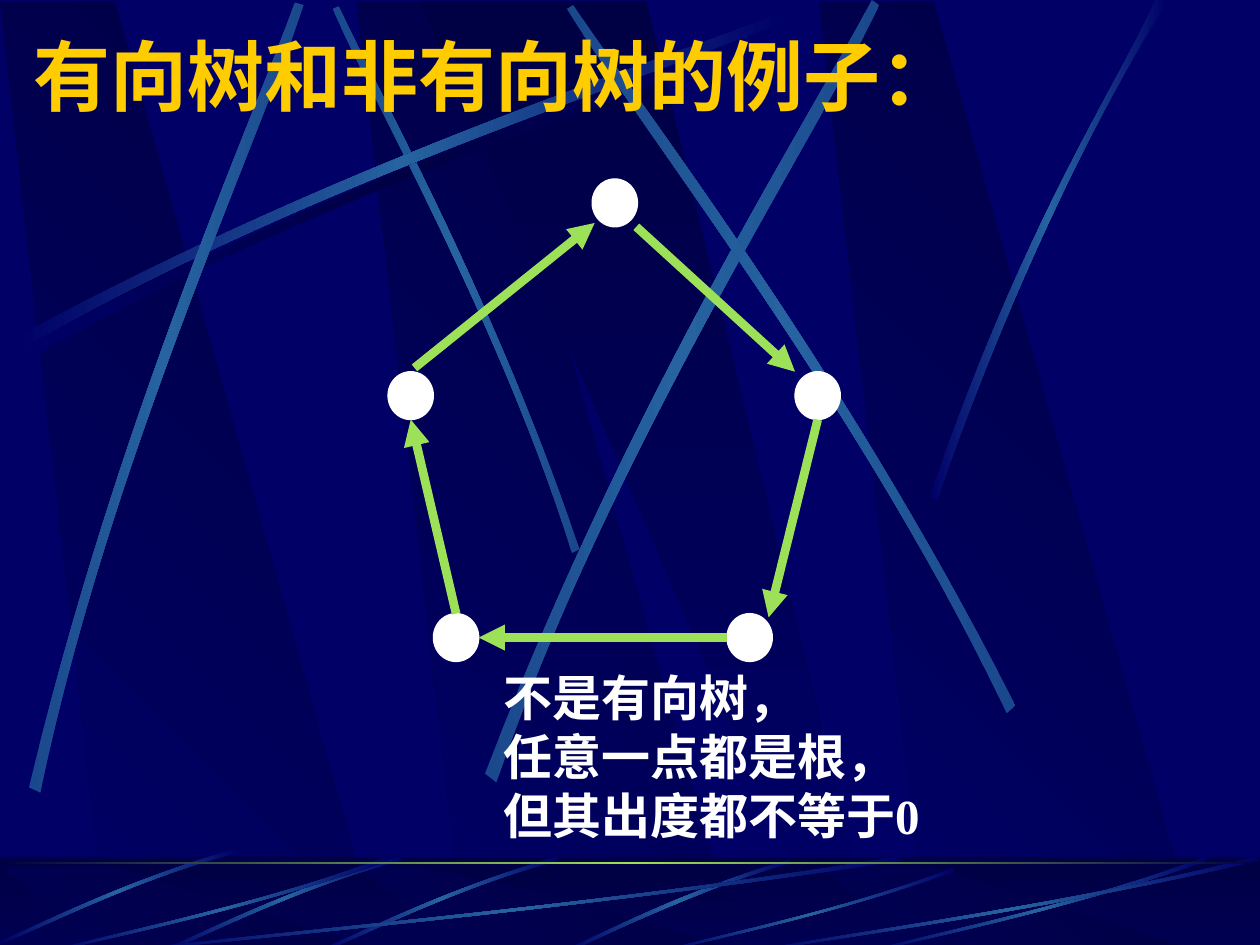
"""Builds a slide showing a directed cycle that is not a directed tree."""
from copy import deepcopy

from pptx import Presentation
from pptx.dml.color import RGBColor
from pptx.enum.shapes import MSO_CONNECTOR, MSO_SHAPE
from pptx.enum.text import MSO_ANCHOR, MSO_AUTO_SIZE
from pptx.oxml.ns import qn
from pptx.util import Inches, Pt
from lxml import etree

OVAL, RECTANGLE = MSO_SHAPE.OVAL, MSO_SHAPE.RECTANGLE
STRAIGHT = MSO_CONNECTOR.STRAIGHT
TOP, MIDDLE = MSO_ANCHOR.TOP, MSO_ANCHOR.MIDDLE
GROW = MSO_AUTO_SIZE.SHAPE_TO_FIT_TEXT
NAVY = RGBColor(0x00, 0x00, 0x66)
DARK = RGBColor(0x00, 0x00, 0x44)
STEEL = RGBColor(0x26, 0x63, 0xA0)
DIM_STEEL = RGBColor(0x1A, 0x48, 0x8C)
GREEN = RGBColor(0x9C, 0xE1, 0x57)
GOLD = RGBColor(0xFF, 0xCC, 0x00)
WHITE = RGBColor(0xFF, 0xFF, 0xFF)

deck = Presentation()
deck.slide_width, deck.slide_height = Inches(10), Inches(7.5)
COLUMN, ROW = deck.slide_width / 10, deck.slide_height / 7.5
page = deck.slides.add_slide(deck.slide_layouts[6])
page.background.fill.solid()
page.background.fill.fore_color.rgb = NAVY


def paint(shape, colors, angle=180):
    shape.shadow.inherit = False
    shape.line.fill.background()
    shape.fill.gradient()
    shape.fill.gradient_angle = angle
    stop_list = shape._element.spPr.find(qn("a:gradFill")).find(qn("a:gsLst"))
    for _ in colors[2:]:
        stop_list.append(deepcopy(stop_list[0]))
    for index, (stop, color) in enumerate(zip(shape.fill.gradient_stops, colors)):
        stop.color.rgb = color
        stop.position = index / (len(colors) - 1)


def outline(points):
    grid = [(round(x * 1000), round(y * 1000)) for x, y in points]
    builder = page.shapes.build_freeform(*grid[0], scale=(COLUMN / 1000, ROW / 1000))
    builder.add_line_segments(grid[1:], close=True)
    return builder.convert_to_shape()


# Each band: top left, top right, bottom right and bottom left columns, then gradient angle.
BANDS = [
    (2.83, 3.74, 5.85, 3.69, 225),
    (0, 0.91, 3.02, 0.86, 225),
    (6.5, 7.41, 9.52, 7.36, 225),
    (3.33, 5.13, 6.94, 6.58, 270),
]
FADED = [NAVY, STEEL, NAVY]
BRIGHT = [DIM_STEEL, STEEL, DIM_STEEL]
SHADE = [NAVY, DARK, NAVY]
UPPER_STREAKS = [
    (SHADE, (0.2, 2.75), (2.84, 1.34), (5.24, 0.59), (6.26, 0.18),
     (6.29, 0.24), (5.28, 0.69), (2.54, 1.51), (0.23, 2.85)),
    (BRIGHT, (4.6, 4.36), (3.91, 2.34), (3.02, 0.77), (2.69, 0.05),
     (2.64, 0.07), (2.95, 0.79), (3.98, 2.58), (4.54, 4.39)),
    (FADED, (0.14, 2.67), (2.78, 1.25), (5.18, 0.51), (6.2, 0.1),
     (6.23, 0.16), (5.22, 0.61), (2.48, 1.43), (0.17, 2.77)),
    (BRIGHT, (0.23, 6.25), (0.93, 3.34), (1.97, 1.05), (2.34, 0.02),
     (2.41, 0.04), (2.07, 1.09), (0.86, 3.68), (0.32, 6.29)),
    (BRIGHT, (3.85, 6.14), (4.98, 3.2), (6.38, 1.02), (6.92, 0),
     (6.98, 0.04), (6.49, 1.08), (4.86, 3.55), (3.94, 6.21)),
    (BRIGHT, (8.06, 5.6), (6.7, 2.93), (5.16, 0.95), (4.55, 0.04),
     (4.5, 0.07), (5.07, 1.01), (6.85, 3.25), (7.99, 5.66)),
    (FADED, (7.38, 3.94), (8.14, 1.73), (8.88, 0.66), (9.17, 0),
     (9.27, 0), (8.36, 1.45), (7.69, 3.22), (7.44, 3.97)),
]
LOWER_STREAKS = [
    (FADED, (6.27, 6.82), (5.37, 7.09), (4.77, 7.42), (4.48, 7.54),
     (4.53, 7.55), (4.9, 7.37), (5.71, 7), (6.28, 6.85)),
]
for shift_x, shift_y in [(0, 0), (-1.25, 0), (-2.56, -0.06)]:
    arc = [(4.42, 6.8), (3.55, 7.05), (2.87, 7.4), (2.56, 7.53),
           (2.57, 7.55), (2.88, 7.43), (3.65, 7.03), (4.44, 6.83)]
    LOWER_STREAKS.append((FADED, *[(x + shift_x, y + shift_y) for x, y in arc]))
for left, top, width, height in [
    (1, 6.8, 6.17, 0.75), (0.42, 6.8, 2.67, 0.75), (5.27, 6.89, 2.31, 0.66),
    (6.92, 6.8, 2.67, 0.75), (6, 6.8, 4, 0.75),
]:
    arc = [(1, 0.04), (0.57, 0.57), (0.17, 0.85), (0.01, 1),
           (0, 0.99), (0.17, 0.81), (0.62, 0.51), (0.99, 0)]
    LOWER_STREAKS.append((FADED, *[(left + x * width, top + y * height) for x, y in arc]))

for section, (top, bottom, streaks) in enumerate(
    [(0.01, 7.52, UPPER_STREAKS), (6.88, 7.55, LOWER_STREAKS)]
):
    if section:
        floor = page.shapes.add_shape(RECTANGLE, 0, int(6.8 * ROW), int(10 * COLUMN), int(0.75 * ROW))
        paint(floor, [DARK, NAVY], 270)
    for top_left, top_right, bottom_right, bottom_left, angle in BANDS:
        band = outline([(top_left, top), (top_right, top), (bottom_right, bottom), (bottom_left, bottom)])
        paint(band, [DARK, NAVY], angle)
    if section:
        veil = page.shapes.add_shape(RECTANGLE, 0, int(6.8 * ROW), int(10 * COLUMN), int(0.75 * ROW))
        veil.shadow.inherit = False
        veil.line.fill.background()
        veil.fill.solid()
        veil.fill.fore_color.rgb = DARK
        tint = veil._element.spPr.find(qn("a:solidFill"))[0]
        etree.SubElement(tint, qn("a:alpha"), val="50000")
    for colors, *controls in streaks:
        streak = outline(controls)
        segments = list(streak._element.iter(qn("a:lnTo")))
        for first in (0, 4):
            curve = etree.Element(qn("a:cubicBezTo"))
            segments[first].addprevious(curve)
            for segment in segments[first:first + 3]:
                curve.append(segment[0])
                segment.getparent().remove(segment)
        paint(streak, colors)

horizon = page.shapes.add_shape(RECTANGLE, 0, int(6.84 * ROW), int(10 * COLUMN), int(0.02 * ROW))
paint(horizon, [DARK, GREEN, DARK])

NODES = [(4.7, 1.42), (3.08, 2.95), (6.31, 2.95), (3.44, 4.87), (5.77, 4.87)]
for left, top in NODES:
    node = page.shapes.add_shape(OVAL, int(left * COLUMN), int(top * ROW), int(0.36 * COLUMN), int(0.38 * ROW))
    node.shadow.inherit = False
    node.fill.solid()
    node.fill.fore_color.rgb = WHITE
    node.line.color.rgb = WHITE
    node.line.width = Pt(0.75)

EDGES = [
    (3.62, 4.87, 3.26, 3.33),
    (3.29, 2.92, 4.72, 1.77),
    (5.05, 1.8, 6.31, 2.95),
    (6.49, 3.33, 6.1, 4.9),
    (5.77, 5.06, 3.8, 5.06),
]
for start_x, start_y, end_x, end_y in EDGES:
    edge = page.shapes.add_connector(
        STRAIGHT, int(start_x * COLUMN), int(start_y * ROW), int(end_x * COLUMN), int(end_y * ROW)
    )
    edge.line.color.rgb = GREEN
    edge.line.width = Pt(5)
    etree.SubElement(edge.line._get_or_add_ln(), qn("a:tailEnd"), type="triangle")
    etree.SubElement(edge._element.spPr, qn("a:effectLst"))

TEXTS = [
    (0.17, 0.17, 8.5, 0.84, MIDDLE, True, "Montserrat", 44, GOLD, ["有向树和非有向树的例子："]),
    (3.9, 5.25, 3.59, 1.5, TOP, False, "Times New Roman", 28, WHITE,
     ["不是有向树，", "任意一点都是根，", "但其出度都不等于0"]),
]
for left, top, width, height, anchor, wrap, font, size, color, lines in TEXTS:
    box = page.shapes.add_textbox(int(left * COLUMN), int(top * ROW), int(width * COLUMN), int(height * ROW))
    frame = box.text_frame
    frame.word_wrap = wrap
    frame.auto_size = GROW
    frame.vertical_anchor = anchor
    for index, line in enumerate(lines):
        para = frame.add_paragraph() if index else frame.paragraphs[0]
        span = para.add_run()
        span.text = line
        span.font.name = font
        span.font.size = Pt(size)
        span.font.bold = True
        span.font.color.rgb = color

deck.save("out.pptx")
